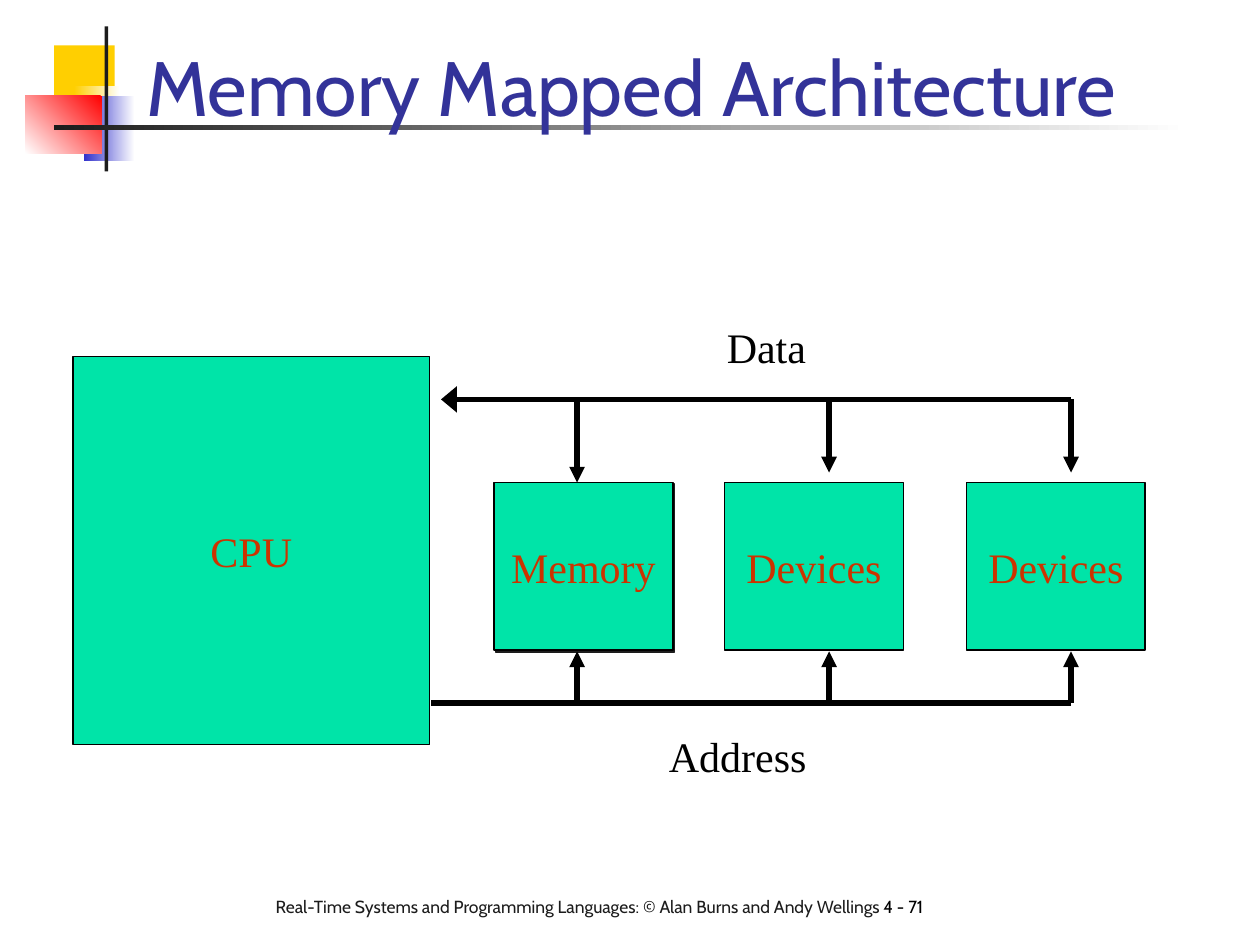
from lxml.etree import SubElement
from pptx import Presentation
from pptx.dml.color import RGBColor
from pptx.enum.shapes import MSO_CONNECTOR as CONNECTOR, MSO_SHAPE as SHAPE
from pptx.enum.text import MSO_ANCHOR as ANCHOR, MSO_AUTO_SIZE as AUTOSIZE, PP_ALIGN as ALIGN
from pptx.oxml.ns import qn
from pptx.util import Inches, Pt

rgb = RGBColor.from_string
SERIF = "Times New Roman"


def style(run, size, face, color):
    run.font.size = Pt(size)
    run.font.name = face
    run.font.color.rgb = rgb(color)


def wire(x1, y1, x2, y2, arrow_width=None):
    link = shapes.add_connector(CONNECTOR.STRAIGHT, Inches(x1), Inches(y1), Inches(x2), Inches(y2))
    link.line.width = Pt(3)
    link.line.color.rgb = rgb("000000")
    if arrow_width:
        SubElement(link.line._get_or_add_ln(), qn("a:tailEnd"), type="triangle", w=arrow_width, len="med")
    SubElement(link._element.spPr, qn("a:effectLst"))


deck = Presentation()
deck.slide_width, deck.slide_height = Inches(10), Inches(7.5)
slide = deck.slides.add_slide(deck.slide_layouts[5])
shapes = slide.shapes

ornaments = [
    (0.43, 0.36, 0.48, 0.52, ["FFCF01"], 0),
    (0.59, 0.68, 0.36, 0.52, ["FFFFFF", "FFCF01"], 180),
    (0.67, 0.76, 0.4, 0.52, ["FFFFFF", "3333CC"], 180),
    (0.2, 0.76, 0.61, 0.46, ["FF0000", "FFFFFF"], 225),
    (0.83, 0.21, 0.03, 1.15, ["1C1C1C"], 0),
    (0.43, 0.99, 9, 0.04, ["FFFFFF", "1C1C1C"], 180),
]
for left, top, width, height, colors, angle in ornaments:
    ornament = shapes.add_shape(SHAPE.RECTANGLE, Inches(left), Inches(top), Inches(width), Inches(height))
    ornament.shadow.inherit = False
    ornament.line.fill.background()
    if len(colors) == 1:
        ornament.fill.solid()
        ornament.fill.fore_color.rgb = rgb(colors[0])
    else:
        ornament.fill.gradient()
        ornament.fill.gradient_angle = angle
        for stop, color in zip(ornament.fill.gradient_stops, colors):
            stop.color.rgb = rgb(color)

title = shapes.title
shapes._spTree.append(title._element)
title.left, title.top, title.width, title.height = Inches(1.06), Inches(0.13), Inches(8.52), Inches(0.97)
title.text_frame.text = "Memory Mapped Architecture"
title.text_frame.auto_size = AUTOSIZE.NONE
title.text_frame.vertical_anchor = ANCHOR.BOTTOM
title.text_frame.paragraphs[0].alignment = ALIGN.LEFT
style(title.text_frame.paragraphs[0].runs[0], 44, "Cabin", "333399")

footer = shapes.add_textbox(Inches(2.09), Inches(7.06), Inches(6.06), Inches(0.46)).text_frame
footer.word_wrap = True
for words, color in [
    ("Real-Time Systems and Programming Languages: © Alan Burns and Andy Wellings ", "1C1C1C"),
    ("4 - 71", "000000"),
]:
    part = footer.paragraphs[0].add_run()
    part.text = words
    style(part, 10, "Cabin", color)

units = [
    ("Memory", 3.92, 3.83, 1.42, 1.33),
    ("CPU", 0.58, 2.83, 2.83, 3.08),
    ("Devices", 7.67, 3.83, 1.42, 1.33),
    ("Devices", 5.75, 3.83, 1.42, 1.33),
]
for name, left, top, width, height in units:
    unit = shapes.add_shape(SHAPE.RECTANGLE, Inches(left), Inches(top), Inches(width), Inches(height))
    unit.shadow.inherit = False
    unit.fill.solid()
    unit.fill.fore_color.rgb = rgb("00E4A8")
    unit.line.color.rgb = rgb("000000")
    unit.line.width = Pt(1)
    unit.text_frame.text = name
    unit.text_frame.word_wrap = False
    unit.text_frame.vertical_anchor = ANCHOR.MIDDLE
    unit.text_frame.paragraphs[0].alignment = ALIGN.CENTER
    style(unit.text_frame.paragraphs[0].runs[0], 24, SERIF, "CC3300")
    if name == "Memory":
        effects = unit._element.spPr.find(qn("a:effectLst"))
        cast = SubElement(effects, qn("a:outerShdw"), dist=str(Pt(1.4)), dir="2700000", algn="ctr", rotWithShape="0")
        SubElement(cast, qn("a:srgbClr"), val="1C1C1C")

data_y, address_y = 3.17, 5.58
wire(8.5, data_y, 3.5, data_y, "lg")
wire(8.5, address_y, 3.42, address_y)
for x, data_end in [(4.58, 3.83), (6.58, 3.75), (8.5, 3.75)]:
    wire(x, data_y, x, data_end, "med")
    wire(x, address_y, x, 5.17, "med")

for name, left, top, width in [("Data", 5.67, 2.5, 0.83), ("Address", 5.21, 5.75, 1.29)]:
    label = shapes.add_textbox(Inches(left), Inches(top), Inches(width), Inches(0.5)).text_frame
    label.word_wrap = False
    label.text = name
    style(label.paragraphs[0].runs[0], 24, SERIF, "000000")

deck.save("out.pptx")
